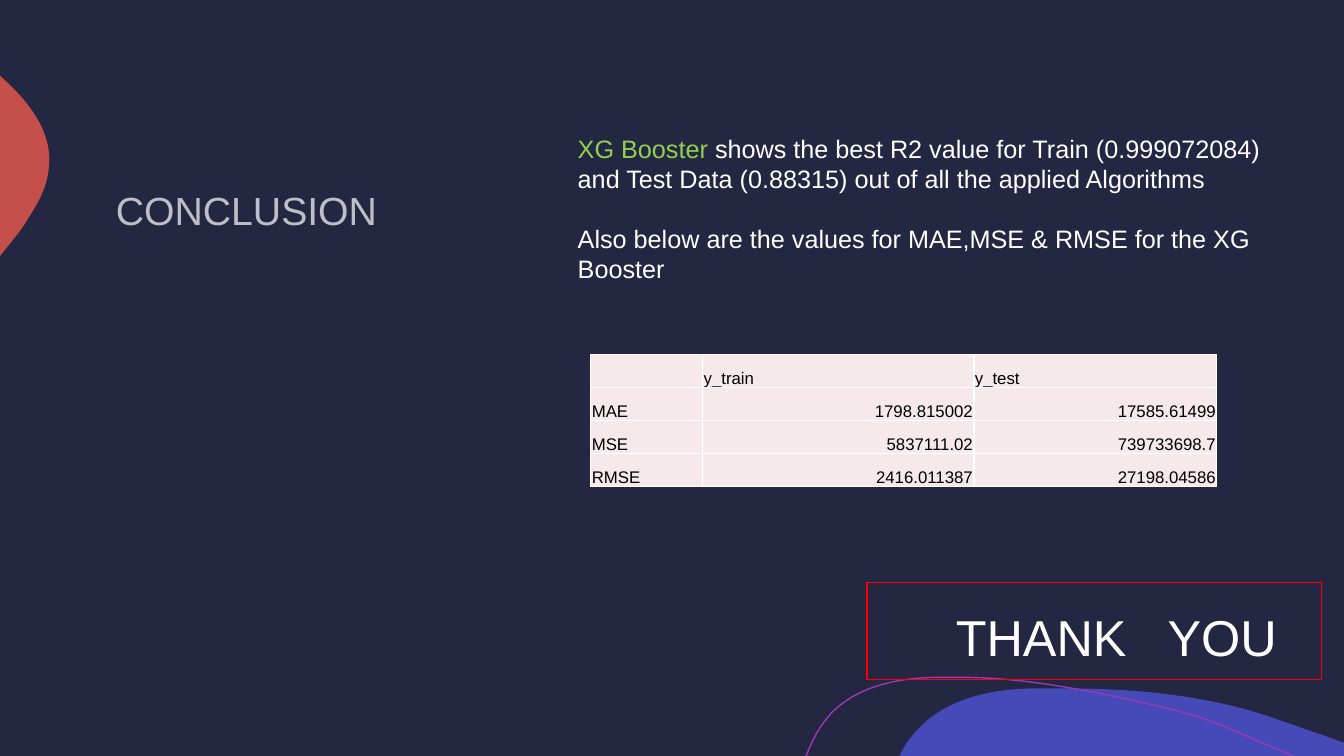
from dataclasses import dataclass

from lxml import etree
from pptx import Presentation
from pptx.dml.color import RGBColor
from pptx.enum import shapes, text
from pptx.oxml import ns
from pptx.util import Inches, Pt


@dataclass(frozen=True)
class Theme:
    font: str = "Arial"
    back: str = "242741"
    blue: str = "454AB8"
    coral: str = "C54F4B"
    purple: str = "9939B3"
    title: str = "BDBEC6"
    white: str = "FFFFFF"
    green: str = "92D050"
    cell: str = "F5E9E9"
    black: str = "000000"
    red: str = "FF0000"
    head: int = 28
    body: int = 18
    small: int = 12
    thanks: int = 36


THEME = Theme()

HILL = [
    (10.54, 6.83),
    (11.28, 6.83, 12.04, 6.9, 12.73, 7.16),
    (12.86, 7.2, 12.98, 7.25, 13.11, 7.29),
    (13.33, 7.37), (13.33, 7.5), (8.92, 7.5), (8.98, 7.39),
    (9.02, 7.33, 9.06, 7.28, 9.11, 7.23),
    (9.39, 6.93, 9.82, 6.84, 10.23, 6.83),
    (10.33, 6.83, 10.43, 6.83, 10.54, 6.83),
]
BLOB = [
    (0, 0.75), (0.01, 0.76),
    (0.3, 1.02, 0.54, 1.33, 0.48, 1.7),
    (0.46, 1.87, 0.37, 2.03, 0.27, 2.18),
    (0.24, 2.24, 0.17, 2.33, 0.08, 2.44),
    (0, 2.54),
]
WAVE = [
    (7.99, 7.5), (8, 7.49),
    (8.06, 7.33, 8.14, 7.19, 8.24, 7.08),
    (8.5, 6.81, 8.89, 6.73, 9.26, 6.72),
    (9.55, 6.72),
    (10.22, 6.72, 11, 6.89, 11.55, 7.02),
    (12.09, 7.15, 12.26, 7.27, 12.83, 7.5),
]
SCORES = [
    ("", "y_train", "y_test"),
    ("MAE", "1798.815002", "17585.61499"),
    ("MSE", "5837111.02", "739733698.7"),
    ("RMSE", "2416.011387", "27198.04586"),
]


def color(name):
    return RGBColor.from_string(name)


def style(font, size, tint):
    font.name = THEME.font
    font.size = Pt(size)
    font.color.rgb = color(tint)


def bend(curve, route):
    lines = iter(list(curve._element.iter(ns.qn("a:lnTo"))))
    for part in route[1:]:
        line = next(lines)
        if len(part) == 2:
            continue
        cubic = etree.Element(ns.qn("a:cubicBezTo"))
        line.addprevious(cubic)
        for item in (line, next(lines), next(lines)):
            cubic.append(item[0])
            item.getparent().remove(item)


def add_curve(slide, route, fill=None, line=None):
    knots = [(Inches(part[i]), Inches(part[i + 1]))
             for part in route for i in range(0, len(part), 2)]
    pen = slide.shapes.build_freeform(*knots[0])
    pen.add_line_segments(knots[1:], close=fill is not None)
    curve = pen.convert_to_shape()
    bend(curve, route)
    curve.shadow.inherit = False
    if fill:
        curve.fill.solid()
        curve.fill.fore_color.rgb = color(fill)
    else:
        curve.fill.background()
    if line:
        curve.line.color.rgb = color(line)
        curve.line.width = Pt(1)
    else:
        curve.line.fill.background()


def add_frame(slide, left, top, width, height):
    frame = slide.shapes.add_textbox(*map(Inches, (left, top, width, height))).text_frame
    frame.word_wrap = True
    frame.margin_left = frame.margin_right = 0
    frame.margin_top = frame.margin_bottom = 0
    return frame


def add_decor(slide):
    add_curve(slide, HILL, fill=THEME.blue)
    add_curve(slide, BLOB, fill=THEME.coral)
    add_curve(slide, WAVE, line=THEME.purple)


def add_title(slide, left, top, width, height):
    para = add_frame(slide, left, top, width, height).paragraphs[0]
    para.text = "CONCLUSION"
    style(para.font, THEME.head, THEME.title)


def add_body(slide, left, top, width, height):
    frame = add_frame(slide, left, top, width, height)
    first = frame.paragraphs[0]
    first.space_after = Pt(21.4)
    for words, tint in (
        ("XG Booster ", THEME.green),
        ("shows the best R2 value for Train (0.999072084) and Test Data (0.88315) "
         "out of all the applied Algorithms", THEME.white),
    ):
        run = first.add_run()
        run.text = words
        style(run.font, THEME.body, tint)
    last = frame.add_paragraph()
    last.text = "Also below are the values for MAE,MSE & RMSE for the XG Booster"
    style(last.font, THEME.body, THEME.white)


def add_edges(cell):
    props = cell._tc.get_or_add_tcPr()
    for spot, side in enumerate(("lnL", "lnR", "lnT", "lnB")):
        edge = etree.Element(ns.qn(f"a:{side}"), w=str(Pt(1)))
        fill = etree.SubElement(edge, ns.qn("a:solidFill"))
        etree.SubElement(fill, ns.qn("a:srgbClr"), val=THEME.white)
        props.insert(spot, edge)


def add_scores(slide, left, top, widths, height):
    table = slide.shapes.add_table(
        len(SCORES), len(widths), *map(Inches, (left, top, sum(widths), height))).table
    for column, width in zip(table.columns, widths):
        column.width = Inches(width)
    for r, row in enumerate(SCORES):
        for c, words in enumerate(row):
            cell = table.cell(r, c)
            cell.fill.solid()
            cell.fill.fore_color.rgb = color(THEME.cell)
            cell.margin_left = cell.margin_right = cell.margin_top = Inches(0.01)
            cell.margin_bottom = 0
            cell.vertical_anchor = text.MSO_ANCHOR.BOTTOM
            add_edges(cell)
            if not words:
                continue
            para = cell.text_frame.paragraphs[0]
            para.text = words
            para.alignment = text.PP_ALIGN.RIGHT if r and c else text.PP_ALIGN.LEFT
            style(para.font, THEME.small, THEME.black)


def add_thanks(slide, left, top, width, height):
    para = add_frame(slide, left + 0.88, top + 0.23, width - 0.88, height - 0.23).paragraphs[0]
    para.text = "THANK\tYOU"
    style(para.font, THEME.thanks, THEME.white)
    stops = etree.Element(ns.qn("a:tabLst"))
    etree.SubElement(stops, ns.qn("a:tab"), pos=str(Inches(2.1)), algn="l")
    para._p.get_or_add_pPr().insert(0, stops)
    box = slide.shapes.add_shape(
        shapes.MSO_SHAPE.RECTANGLE, *map(Inches, (left, top, width, height)))
    box.shadow.inherit = False
    box.fill.background()
    box.line.color.rgb = color(THEME.red)
    box.line.width = Pt(1)


def main():
    deck = Presentation()
    deck.slide_width, deck.slide_height = Inches(13.33), Inches(7.5)
    slide = deck.slides.add_slide(deck.slide_layouts[6])
    slide.background.fill.solid()
    slide.background.fill.fore_color.rgb = color(THEME.back)
    add_decor(slide)
    add_title(slide, 1.15, 1.85, 4, 0.45)
    add_body(slide, 5.73, 1.32, 7.09, 1.6)
    add_scores(slide, 5.86, 3.52, (1.11, 2.69, 2.41), 1.31)
    add_thanks(slide, 8.6, 5.78, 4.51, 0.96)
    deck.save("out.pptx")


if __name__ == "__main__":
    main()
